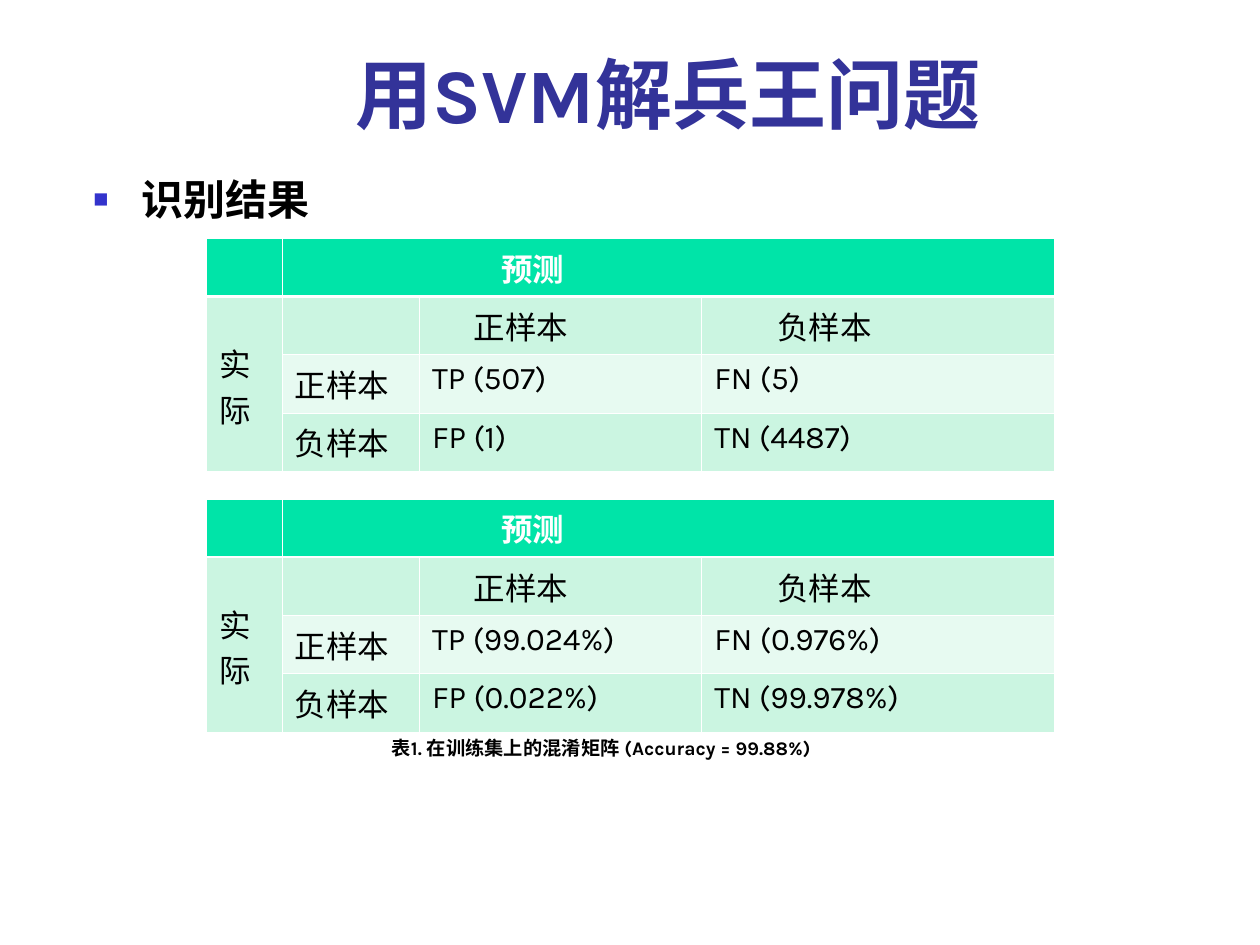
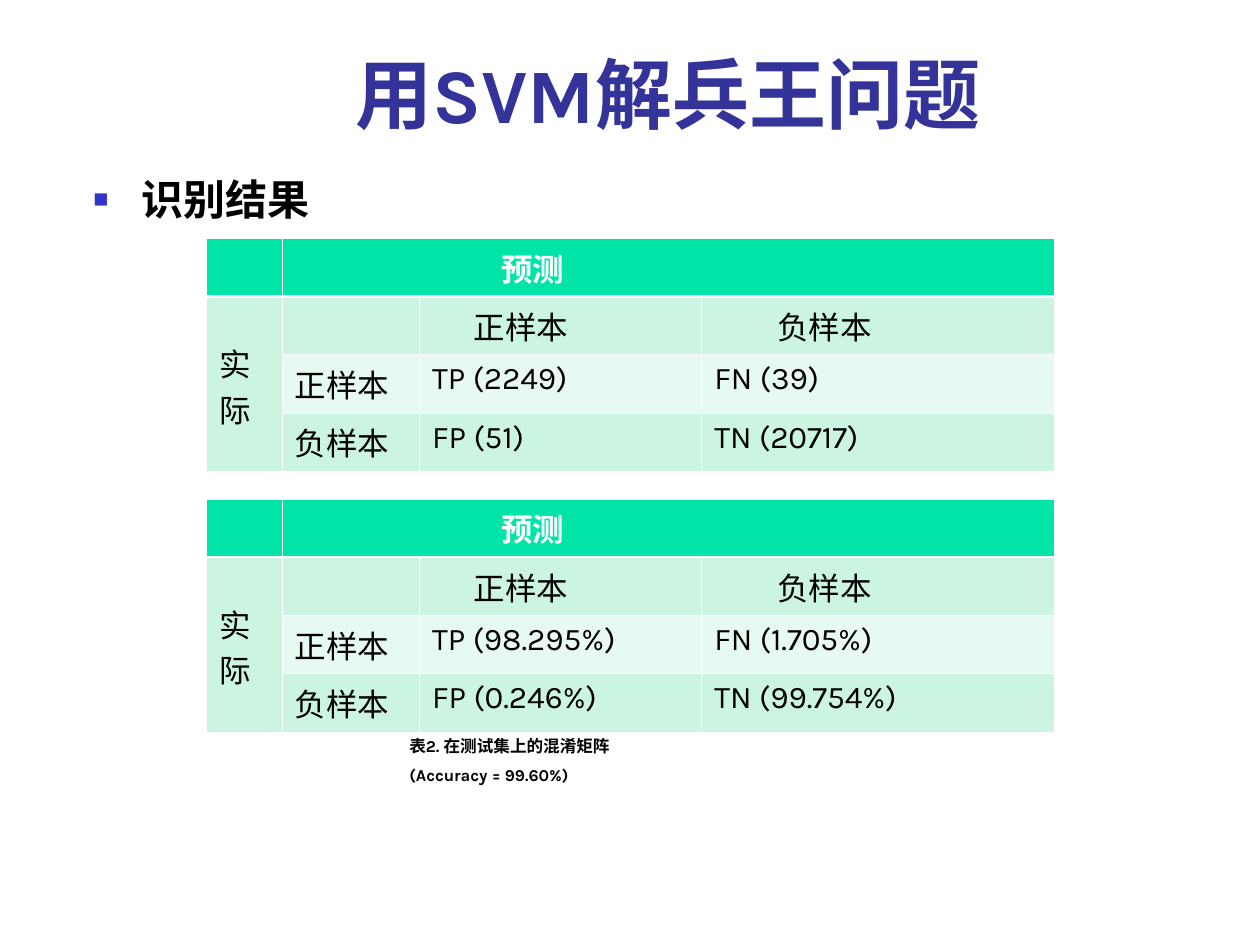
from dataclasses import dataclass

from lxml import etree
from pptx import Presentation
from pptx import util as u
from pptx.dml.color import RGBColor
from pptx.enum import lang, text
from pptx.oxml import ns


@dataclass(frozen=True)
class Theme:
    font: str = "Karla"
    title_color: str = "333399"
    bullet_color: str = "3333CC"
    ink: str = "000000"
    white: str = "FFFFFF"
    header_fill: str = "00E4A8"
    dark_band: str = "CBF5E1"
    light_band: str = "E7FAF1"
    title_size: float = 44
    heading_size: float = 24
    table_size: float = 18
    thin_border: float = 0.45
    header_border: float = 1.47


theme = Theme()


def write(frame, content, size, color=theme.ink, bold=False, align=text.PP_ALIGN.LEFT,
          space=0, bullet=None):
    frame.word_wrap = True
    for index, line in enumerate(content.split("\n")):
        paragraph = frame.paragraphs[0] if index == 0 else frame.add_paragraph()
        paragraph.alignment = align
        paragraph.space_before = u.Pt(space if index else 0)
        if bullet:
            properties = paragraph._p.get_or_add_pPr()
            properties.set("marL", str(u.Inches(0.38)))
            properties.set("indent", str(u.Inches(-0.38)))
            bullet_color = etree.SubElement(properties, ns.qn("a:buClr"))
            etree.SubElement(bullet_color, ns.qn("a:srgbClr"), val=theme.bullet_color)
            etree.SubElement(properties, ns.qn("a:buSzPct"), val="60000")
            etree.SubElement(properties, ns.qn("a:buChar"), char=bullet)
        run = paragraph.add_run()
        run.text = line
        run.font.name = theme.font
        run.font.size = u.Pt(size)
        run.font.bold = bold
        run.font.color.rgb = RGBColor.from_string(color)
        run.font.language_id = lang.MSO_LANGUAGE_ID.SIMPLIFIED_CHINESE


def add_border(cell, side, width):
    line = etree.SubElement(cell._tc.get_or_add_tcPr(), ns.qn(f"a:ln{side}"), w=str(u.Pt(width)))
    fill = etree.SubElement(line, ns.qn("a:solidFill"))
    etree.SubElement(fill, ns.qn("a:srgbClr"), val=theme.white)


results = [
    {
        "matrices": [
            ["TP (507)", "FN (5)", "FP (1)", "TN (4487)"],
            ["TP (99.024%)", "FN (0.976%)", "FP (0.022%)", "TN (99.978%)"],
        ],
        "caption": "表1. 在训练集上的混淆矩阵 (Accuracy = 99.88%)",
        "caption_left": 3.01,
        "caption_size": 11,
    },
    {
        "matrices": [
            ["TP (2249)", "FN (39)", "FP (51)", "TN (20717)"],
            ["TP (98.295%)", "FN (1.705%)", "FP (0.246%)", "TN (99.754%)"],
        ],
        "caption": "表2. 在测试集上的混淆矩阵\n(Accuracy = 99.60%)",
        "caption_left": 3.15,
        "caption_size": 9.5,
    },
]
matrix_tops = [1.89, 3.96]
column_widths = [0.6, 1.09, 2.24, 2.8]
row_height = 0.46
row_fills = [theme.header_fill, theme.dark_band, theme.light_band, theme.dark_band]
label_margins = {(0, 1): 1.74, (1, 2): 0.43, (1, 3): 0.6}

presentation = Presentation()
presentation.slide_width = u.Inches(10)
presentation.slide_height = u.Inches(7.5)

for result in results:
    slide = presentation.slides.add_slide(presentation.slide_layouts[1])

    title = slide.shapes.title
    title.left, title.top = u.Inches(2.47), u.Inches(0.25)
    title.width, title.height = u.Inches(7.52), u.Inches(0.9)
    title.text_frame.auto_size = text.MSO_AUTO_SIZE.NONE
    title.text_frame.vertical_anchor = text.MSO_ANCHOR.BOTTOM
    title.text_frame.margin_left = u.Inches(0.35)
    write(title.text_frame, "用SVM解兵王问题", theme.title_size, theme.title_color, bold=True)

    heading = slide.placeholders[1]
    heading.left, heading.top = u.Inches(0.64), u.Inches(1.33)
    heading.width, heading.height = u.Inches(8.98), u.Inches(0.71)
    heading.text_frame.auto_size = text.MSO_AUTO_SIZE.NONE
    write(heading.text_frame, "识别结果", theme.heading_size, bold=True,
          align=text.PP_ALIGN.JUSTIFY, bullet="■")

    for top, (tp, fn, fp, tn) in zip(matrix_tops, result["matrices"]):
        rows = [
            ["", "预测", "", ""],
            ["实际", "", "正样本", "负样本"],
            ["", "正样本", tp, fn],
            ["", "负样本", fp, tn],
        ]
        table = slide.shapes.add_table(
            len(rows), len(column_widths), u.Inches(1.64), u.Inches(top),
            u.Inches(sum(column_widths)), u.Inches(row_height * len(rows))).table
        table.first_row = False
        table.horz_banding = False
        for column, width in zip(table.columns, column_widths):
            column.width = u.Inches(width)
        table.cell(0, 1).merge(table.cell(0, 3))
        table.cell(1, 0).merge(table.cell(3, 0))

        for row_index, labels in enumerate(rows):
            table.rows[row_index].height = u.Inches(row_height)
            is_header = row_index == 0
            for column_index, label in enumerate(labels):
                cell = table.cell(row_index, column_index)
                for side in "LRTB":
                    under_header = (row_index, side) in [(0, "B"), (1, "T")]
                    add_border(cell, side,
                               theme.header_border if under_header else theme.thin_border)
                cell.fill.solid()
                cell.fill.fore_color.rgb = RGBColor.from_string(row_fills[row_index])
                cell.margin_left = u.Inches(label_margins.get((row_index, column_index), 0.1))
                if label:
                    write(cell.text_frame, label, theme.table_size,
                          theme.white if is_header else theme.ink, bold=is_header)

        actual = table.cell(1, 0)
        actual.vertical_anchor = text.MSO_ANCHOR.MIDDLE
        actual.margin_top = u.Inches(0.08)

    caption = slide.shapes.add_textbox(
        u.Inches(result["caption_left"]), u.Inches(5.79), u.Inches(3.98), u.Inches(0.48))
    write(caption.text_frame, result["caption"], result["caption_size"], bold=True,
          align=text.PP_ALIGN.JUSTIFY, space=5)

presentation.save("out.pptx")
